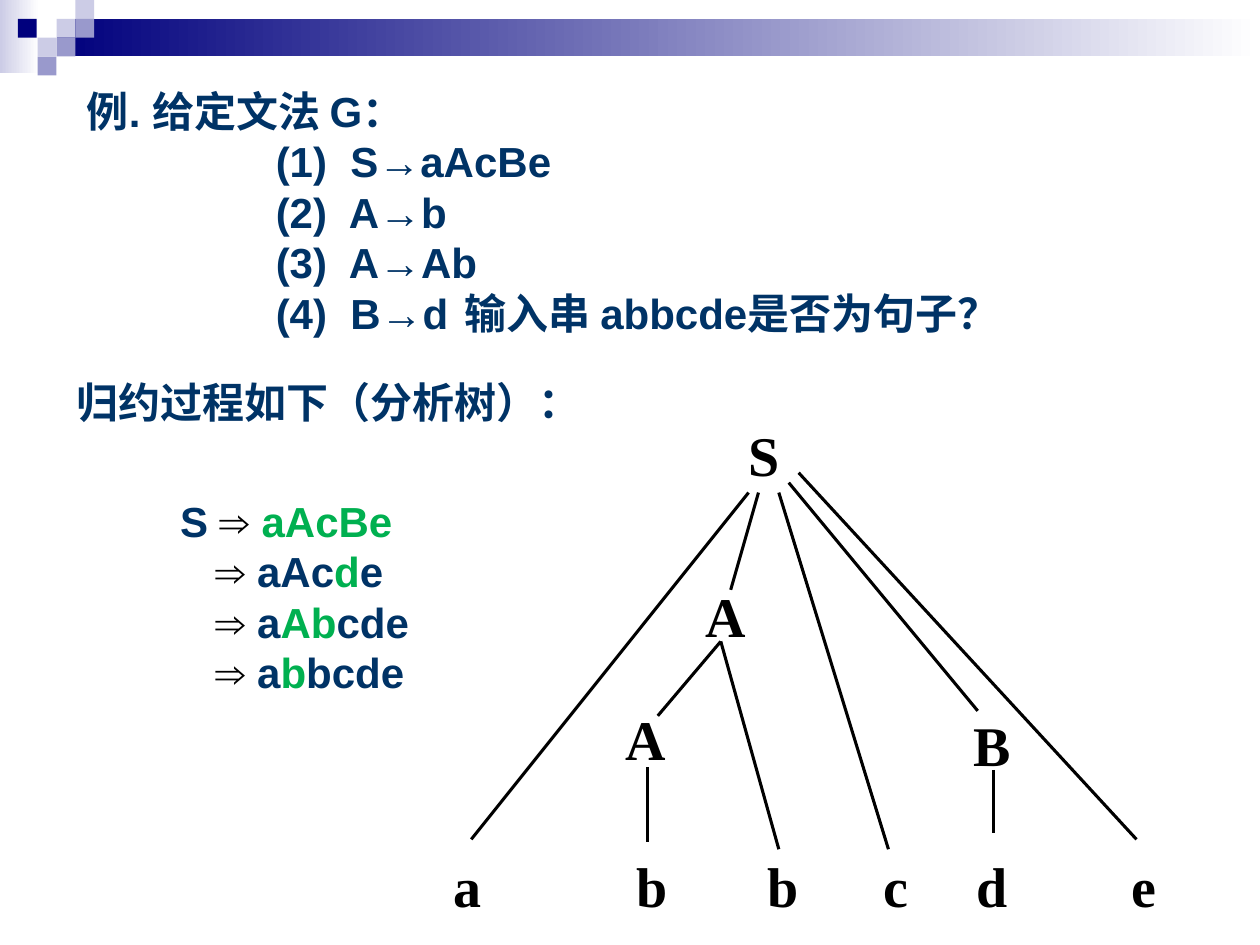
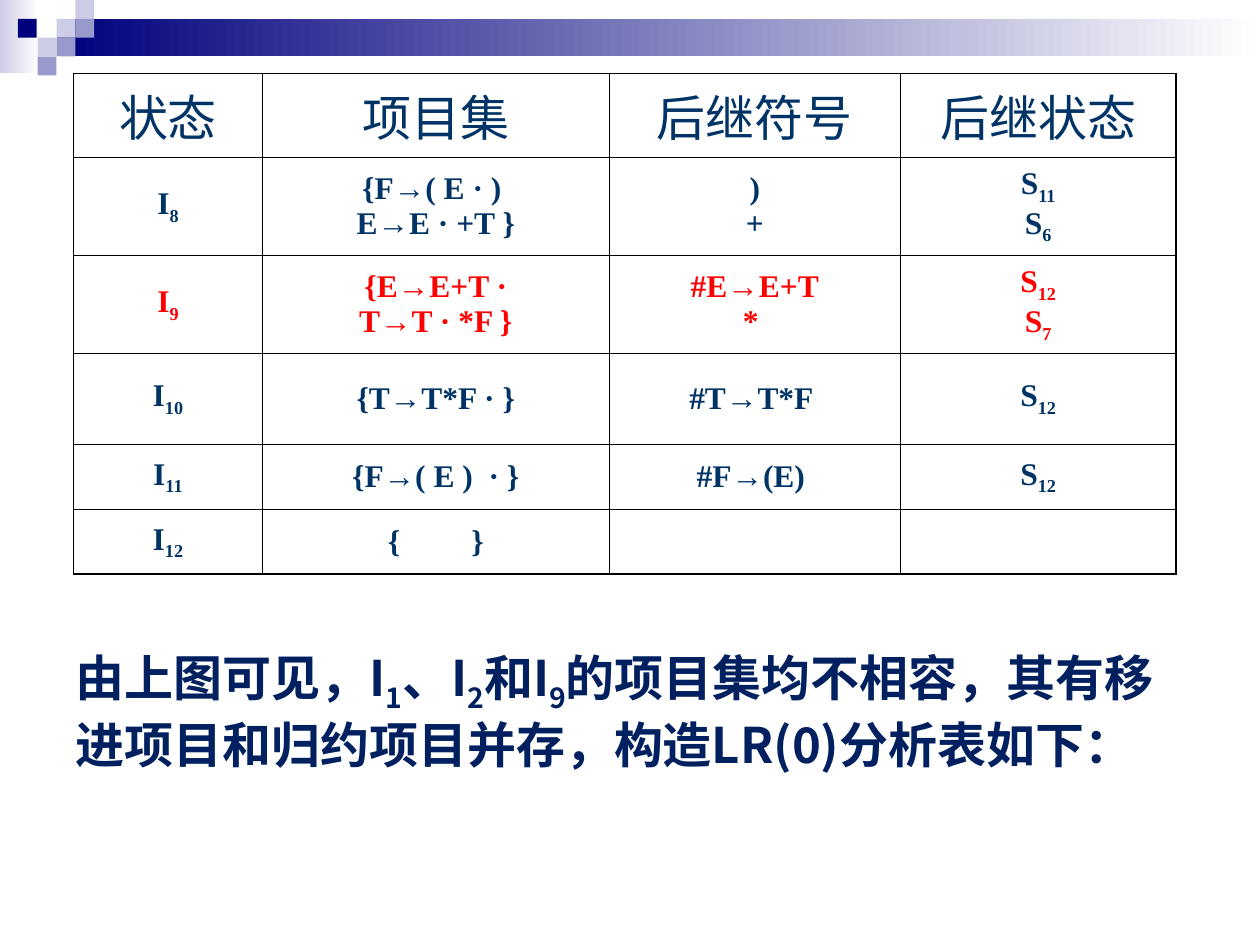
from lxml import etree
from pptx import Presentation
from pptx.dml import color
from pptx.enum import shapes, text
from pptx.oxml import ns
from pptx.util import Cm, Pt

NAVY = "003366"
DEEP_NAVY = "002060"
BAND_NAVY = "00007D"
LAVENDER = "CCCCE6"
PERIWINKLE = "9999CC"
WHITE = "FFFFFF"
BLACK = "000000"
GREEN = "00B050"
RED = "FF0000"
CJK_FONT = "Noto Sans CJK SC"
SERIF = "Times New Roman"

SUBSCRIPT = {"baseline": "-25000"}
WIDE_GAP = {"spc": "3600"}

TREE_LABELS = [
    ("S", 15.09, 8.48), ("A", 14.22, 11.73), ("A", 12.62, 14.2), ("B", 19.63, 14.33),
    ("a", 9.14, 17.17), ("b", 12.83, 17.17), ("b", 15.47, 17.17),
    ("c", 17.81, 17.17), ("d", 19.69, 17.17), ("e", 22.81, 17.17),
]
TREE_EDGES = [
    (15.09, 9.93, 9.5, 16.92), (15.29, 9.93, 14.73, 11.89),
    (15.7, 9.93, 17.91, 17.12), (15.9, 9.73, 19.71, 14.33),
    (16.1, 9.53, 22.91, 16.92), (14.53, 12.93, 13.26, 14.43),
    (14.53, 12.93, 15.7, 17.12), (20.02, 15.52, 20.02, 16.79),
    (13.06, 15.47, 13.06, 16.97),
]
DERIVATION = [
    ["S", " ⇒ ", "|aAcBe"],
    ["⇒ ", "aAc", "|d", "e"],
    ["⇒ ", "a", "|Ab", "cde"],
    ["⇒ ", "a", "|b", "bcde"],
]
HEADINGS = ["状态", "项目集", "后继符号", "后继状态"]
STATES = [
    ("8", ["{F→( E · ) ", "E→E · +T }"], [")", "+"], ["11", "6"]),
    ("9", ["{E→E+T ·", "T→T · *F }"], ["#E→E+T", "* "], ["12", "7"]),
    ("10", ["{T→T*F · }"], ["#T→T*F "], ["12"]),
    ("11", ["{F→( E )  · }"], ["#F→(E) "], ["12"]),
    ("12", None, [], []),
]


def rgb(value):
    return color.RGBColor.from_string(value)


def add_run(paragraph, words, size, font, hue, bold=True, **attributes):
    run = paragraph.add_run()
    run.text = words
    run.font.size = Pt(size)
    run.font.name = font
    run.font.bold = bold
    run.font.color.rgb = rgb(hue)
    properties = run.font._element
    for name, value in attributes.items():
        properties.set(name, value)
    if any("一" <= character <= "龥" for character in words):
        etree.SubElement(properties, ns.qn("a:ea"), typeface=CJK_FONT)


def add_paragraph(frame, indent=0):
    first = frame.paragraphs[0]
    paragraph = frame.add_paragraph() if first.runs else first
    if indent:
        properties = paragraph._p.get_or_add_pPr()
        properties.set("marL", str(Cm(indent)))
        properties.set("indent", "0")
    return paragraph


def add_text_frame(slide, left, top, width, height, inset=True):
    box = slide.shapes.add_textbox(Cm(left), Cm(top), Cm(width), Cm(height))
    frame = box.text_frame
    frame.word_wrap = True
    if not inset:
        frame.margin_left = frame.margin_right = 0
        frame.margin_top = frame.margin_bottom = 0
    return frame


def add_rectangle(slide, left, top, width, height, start, end=None):
    shape = slide.shapes.add_shape(
        shapes.MSO_SHAPE.RECTANGLE, Cm(left), Cm(top), Cm(width), Cm(height))
    shape.shadow.inherit = False
    shape.line.fill.background()
    if end:
        shape.fill.gradient()
        shape.fill.gradient_angle = 0
        for stop, hue, position in zip(shape.fill.gradient_stops, (start, end), (0, 1)):
            stop.color.rgb = rgb(hue)
            stop.position = position
    else:
        shape.fill.solid()
        shape.fill.fore_color.rgb = rgb(start)
    return shape


def add_master_band(presentation, slide):
    unit = 0.38
    band = [
        add_rectangle(slide, 0, 0, 0.79, 1.47, LAVENDER, WHITE),
        add_rectangle(slide, 3 * unit, unit, 25.4 - 3 * unit, 2 * unit, BAND_NAVY, WHITE),
    ]
    squares = [(3, 1, LAVENDER), (4, 0, LAVENDER), (4, 1, PERIWINKLE), (2, 2, LAVENDER),
               (0.95, 1, BAND_NAVY), (3, 2, PERIWINKLE), (2, 3, PERIWINKLE)]
    for column, row, hue in squares:
        band.append(add_rectangle(slide, column * unit, row * unit, unit, unit, hue))
    tree = presentation.slide_master.shapes.element
    for shape in band:
        tree.append(shape.element)


def add_edge(slide, start_x, start_y, end_x, end_y):
    edge = slide.shapes.add_connector(
        shapes.MSO_CONNECTOR.STRAIGHT, Cm(start_x), Cm(start_y), Cm(end_x), Cm(end_y))
    edge.line.color.rgb = rgb(BLACK)
    edge.line.width = Pt(1.75)
    etree.SubElement(edge.element.spPr, ns.qn("a:effectLst"))


def add_grammar(slide):
    frame = add_text_frame(slide, 1.5, 1.6, 22, 5.33)
    add_run(add_paragraph(frame), "例. 给定文法 G：", 24, "Arial", NAVY)
    for number, rule in enumerate(["S→aAcBe", "A→b", "A→Ab", "B→d"], 1):
        paragraph = add_paragraph(frame, 3.81)
        add_run(paragraph, f"({number})  {rule}", 24, "Arial", NAVY)
    tabs = etree.SubElement(paragraph._p.get_or_add_pPr(), ns.qn("a:tabLst"))
    etree.SubElement(tabs, ns.qn("a:tab"), pos=str(Cm(5.08)), algn="l")
    add_run(paragraph, "\t输入串 abbcde是否为句子？", 24, "Arial", NAVY)


def add_derivation(slide):
    frame = add_text_frame(slide, 3.38, 9.86, 5.8, 5.33)
    for step, pieces in enumerate(DERIVATION):
        paragraph = add_paragraph(frame, 0.71 if step else 0)
        for piece in pieces:
            arrow = "⇒" in piece
            hue = BLACK if arrow else GREEN if piece.startswith("|") else NAVY
            add_run(paragraph, piece.lstrip("|"), 24, "Arial", hue, not arrow)


def add_parse_tree(slide):
    for label, left, top in TREE_LABELS:
        frame = add_text_frame(slide, left, top, 0.85, 1.35, inset=False)
        add_run(add_paragraph(frame), label, 32, SERIF, BLACK)
    for edge in TREE_EDGES:
        add_edge(slide, *edge)


def set_border(cell, side, width):
    line = etree.SubElement(
        cell._tc.get_or_add_tcPr(), ns.qn(f"a:ln{side}"), w=str(Pt(width)))
    fill = etree.SubElement(line, ns.qn("a:solidFill"))
    etree.SubElement(fill, ns.qn("a:srgbClr"), val=BLACK)


def format_cell(cell, outer_sides):
    cell.vertical_anchor = text.MSO_ANCHOR.MIDDLE
    for side in "LRTB":
        set_border(cell, side, 1.08 if side in outer_sides else 0.45)
    cell.fill.background()


def fill_cell(cell, lines, size=18, font=SERIF, hue=NAVY, bold=True):
    for pieces in lines:
        paragraph = add_paragraph(cell.text_frame)
        paragraph.alignment = text.PP_ALIGN.CENTER
        for words, attributes in pieces:
            add_run(paragraph, words, size, font, hue, bold, **attributes)


def plain(lines):
    return [[(line, {})] for line in lines]


def indexed(letter, numbers):
    return [[(letter, {}), (number, SUBSCRIPT)] for number in numbers]


def add_state_table(slide):
    widths = [3.81, 6.99, 5.87, 5.56]
    heights = [1.45, 1.98, 1.98, 1.83, 1.32, 1.3]
    table = slide.shapes.add_table(
        len(heights), len(widths), Cm(1.48), Cm(1.48),
        Cm(sum(widths)), Cm(sum(heights))).table
    table.first_row = table.horz_banding = False
    for column, width in zip(table.columns, widths):
        column.width = Cm(width)
    for row, height in zip(table.rows, heights):
        row.height = Cm(height)
    last_row, last_column = len(heights) - 1, len(widths) - 1
    for row in range(len(heights)):
        for column in range(len(widths)):
            edges = {"L": column == 0, "R": column == last_column,
                     "T": row == 0, "B": row == last_row}
            format_cell(table.cell(row, column), [side for side in edges if edges[side]])
    for column, heading in enumerate(HEADINGS):
        fill_cell(table.cell(0, column), plain([heading]), 28, "Arial", bold=False)
    for row, (state, items, symbols, successors) in enumerate(STATES, 1):
        item_lines = plain(items) if items else [[("{", {}), (" ", WIDE_GAP), ("}", {})]]
        contents = [indexed("I", [state]), item_lines, plain(symbols), indexed("S", successors)]
        for column, lines in enumerate(contents):
            fill_cell(table.cell(row, column), lines, hue=RED if state == "9" else NAVY)


def add_conclusion(slide):
    paragraph = add_paragraph(add_text_frame(slide, 1.28, 12.93, 22.43, 4))
    pieces = [("由上图可见，I", "1"), ("、I", "2"), ("和I", "9"),
              ("的项目集均不相容，其有移进项目和归约项目并存，构造LR(0)分析表如下：", "")]
    for words, index in pieces:
        add_run(paragraph, words, 28, CJK_FONT, DEEP_NAVY)
        if index:
            add_run(paragraph, index, 28, CJK_FONT, DEEP_NAVY, **SUBSCRIPT)


def main():
    presentation = Presentation()
    presentation.slide_width, presentation.slide_height = Cm(25.4), Cm(19.05)
    blank = presentation.slide_layouts[6]

    tree_slide = presentation.slides.add_slide(blank)
    add_master_band(presentation, tree_slide)
    add_grammar(tree_slide)
    heading = add_text_frame(tree_slide, 1.3, 7.47, 11.4, 1.27)
    add_run(add_paragraph(heading), "归约过程如下（分析树）：", 24, "Comic Neue", NAVY)
    add_parse_tree(tree_slide)
    add_derivation(tree_slide)

    table_slide = presentation.slides.add_slide(blank)
    add_state_table(table_slide)
    add_conclusion(table_slide)

    presentation.save("out.pptx")


if __name__ == "__main__":
    main()
